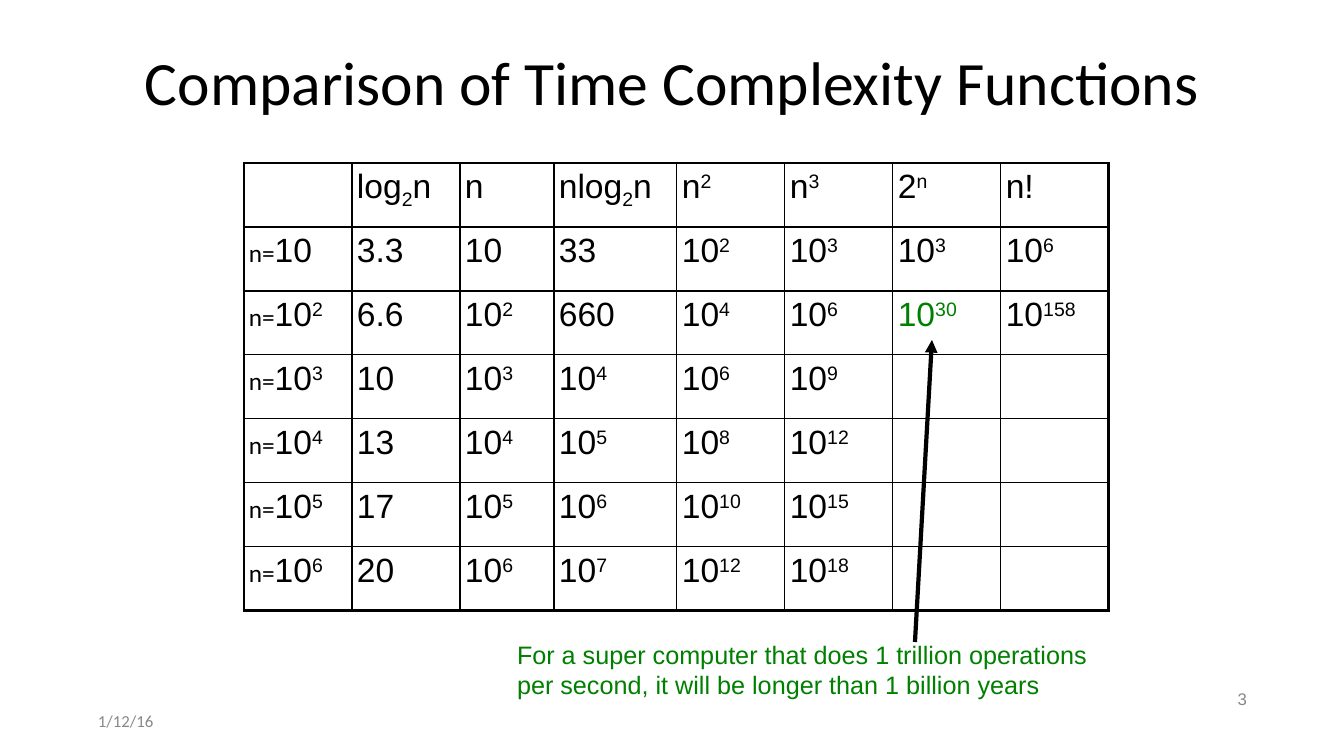
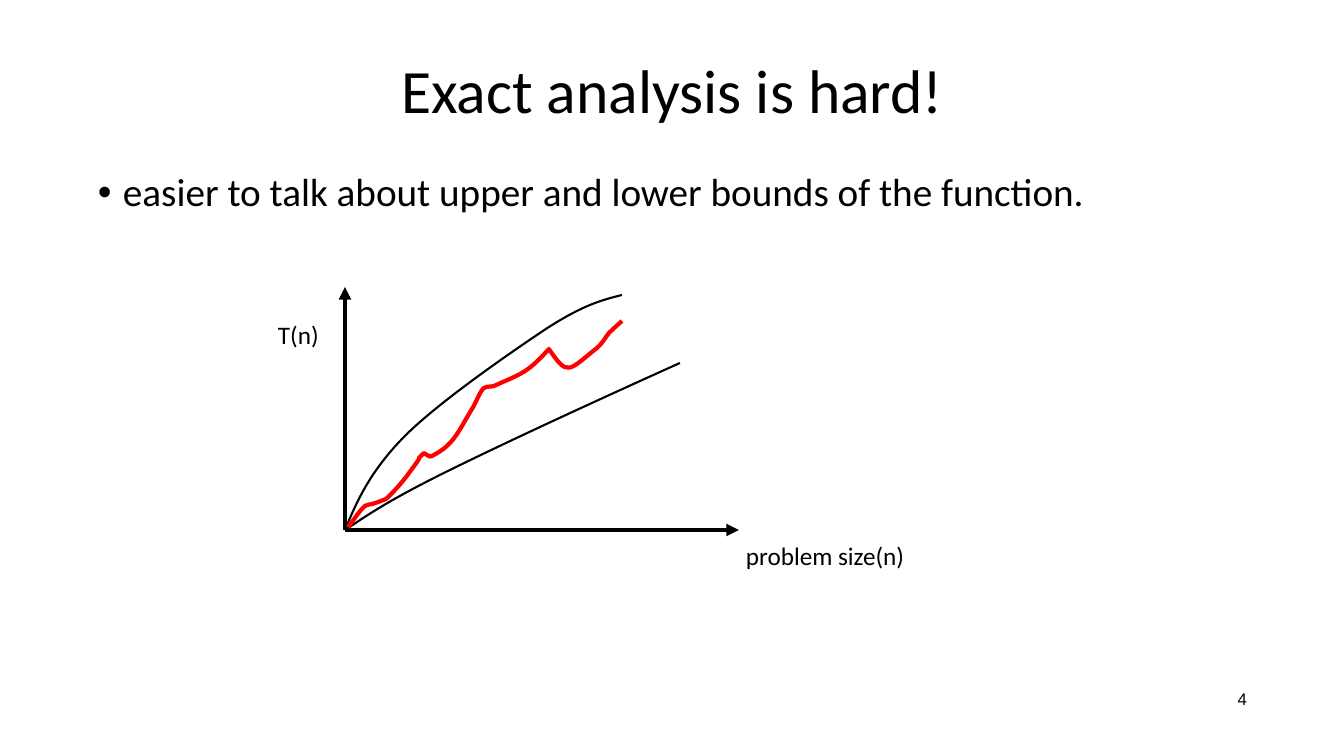
from itertools import product
from lxml import etree
from pptx import Presentation
from pptx import util as u
from pptx.dml.color import RGBColor
from pptx.enum import shapes, text
from pptx.oxml.ns import qn

BLACK, GREEN, GRAY, RED = "000000", "008000", "888888", "FF0000"
SANS, BODY = "Arial", "Calibri"
LEFT, CENTER, RIGHT = text.PP_ALIGN.LEFT, text.PP_ALIGN.CENTER, text.PP_ALIGN.RIGHT
TOP, MIDDLE = text.MSO_ANCHOR.TOP, text.MSO_ANCHOR.MIDDLE
BASELINES = {"^": "30000", "_": "-25000"}


def px(n):
    return u.Emu(round(n * 914400 / 100.8))


def rgb(color):
    return RGBColor.from_string(color)


def sub(parent, tag, **attrs):
    return etree.SubElement(parent, qn(tag), attrs)


class Deck:
    def __init__(self):
        self.prs = Presentation()
        self.prs.slide_width, self.prs.slide_height = px(1344), px(756)

    def slide(self, title, title_top, number, number_color):
        self.s = self.prs.slides.add_slide(self.prs.slide_layouts[6])
        self.text(title, 93, title_top, 1159, 108, size=44,
                  align=CENTER, anchor=MIDDLE, spacing=0.9)
        self.text(number, 950, 686, 302, 29, size=12, font=SANS,
                  color=number_color, align=RIGHT, anchor=MIDDLE, spacing=0.9)

    def style(self, p, size, font, color):
        p.font.size, p.font.name = u.Pt(size), font
        p.font.color.rgb = rgb(color)

    def text(self, words, x, y, w, h, size=18, font=BODY, color=BLACK, align=LEFT,
             anchor=TOP, spacing=None, before=None, bullet=False, wrap=True):
        tf = self.s.shapes.add_textbox(px(x), px(y), px(w), px(h)).text_frame
        tf.word_wrap, tf.vertical_anchor = wrap, anchor
        tf.margin_left = tf.margin_right = tf.margin_top = tf.margin_bottom = px(5)
        p = tf.paragraphs[0]
        p.text, p.alignment = words, align
        if bullet:
            pPr = p._p.get_or_add_pPr()
            pPr.set("marL", str(px(25)))
            pPr.set("indent", str(-px(25)))
            sub(pPr, "a:buFont", typeface=SANS)
            sub(pPr, "a:buChar", char="•")
        if spacing:
            p.line_spacing = spacing
        if before:
            p.space_before = u.Pt(before)
        self.style(p, size, font, color)

    def table(self, x, y, widths, row_height, rows, highlight):
        n_rows, n_cols = len(rows), len(widths)
        table = self.s.shapes.add_table(n_rows, n_cols, px(x), px(y), px(sum(widths)),
                                        px(row_height * n_rows)).table
        table.first_row = table.horz_banding = False
        for col, width in zip(table.columns, widths):
            col.width = px(width)
        for row in table.rows:
            row.height = px(row_height)
        for i, j in product(range(n_rows), range(n_cols)):
            cell = table.cell(i, j)
            cell.fill.background()
            cell.margin_left = cell.margin_right = px(5)
            cell.margin_top = cell.margin_bottom = px(5)
            self.borders(cell, L=j == 0, R=j == n_cols - 1, T=i == 0, B=i == n_rows - 1)
            if j < len(rows[i]) and rows[i][j]:
                color = GREEN if (i, j) == highlight else BLACK
                self.formula(cell.text_frame.paragraphs[0], rows[i][j], color)

    def borders(self, cell, **outer):
        tcPr = cell._tc.get_or_add_tcPr()
        for i, (side, is_outer) in enumerate(outer.items()):
            ln = sub(tcPr, "a:ln" + side, w=str(u.Pt(2.25 if is_outer else 1)))
            sub(sub(ln, "a:solidFill"), "a:srgbClr", val=BLACK)
            tcPr.insert(i, ln)

    def formula(self, p, parts, color):
        p.space_before = u.Pt(5)
        self.style(p, 24, SANS, color)
        for part in parts.split("|"):
            r = p.add_run()
            r.text = part.lstrip("^_")
            if part[0] in BASELINES:
                r._r.get_or_add_rPr().set("baseline", BASELINES[part[0]])
            if part == "n=":
                r.font.size, r.font.name = u.Pt(18), BODY

    def arrow(self, x1, y1, x2, y2):
        sp = self.s.shapes.add_connector(shapes.MSO_CONNECTOR.STRAIGHT,
                                         px(x1), px(y1), px(x2), px(y2))
        sp.line.color.rgb, sp.line.width = rgb(BLACK), u.Pt(3)
        spPr = sp._element.spPr
        sub(spPr.find(qn("a:ln")), "a:tailEnd", type="triangle")
        sub(spPr, "a:effectLst")

    def curve(self, points, color=BLACK, width=1.5):
        fb = self.s.shapes.build_freeform(*points[0], scale=px(100) / 100)
        fb.add_line_segments(points[1:], close=False)
        sp = fb.convert_to_shape()
        sp.shadow.inherit = False
        sp.fill.background()
        sp.line.color.rgb, sp.line.width = rgb(color), u.Pt(width)
        outline = next(sp._element.iter(qn("a:path")))
        steps = outline.findall(qn("a:lnTo"))
        for i in range(0, len(steps), 3):
            bezier = sub(outline, "a:cubicBezTo")
            for step in steps[i:i + 3]:
                bezier.append(step[0])
                outline.remove(step)


deck = Deck()

deck.slide("Comparison of Time Complexity Functions", 32, "3", GRAY)
header = ["", "log|_2|n", "n", "nlog|_2|n", "n|^2", "n|^3", "2|^n", "n!"]
growth = [
    ["n=|10", "3.3", "10", "33", "10|^2", "10|^3", "10|^3", "10|^6"],
    ["n=|10|^2", "6.6", "10|^2", "660", "10|^4", "10|^6", "10|^30", "10|^158"],
]
for k, log in zip(range(3, 7), ["10", "13", "17", "20"]):
    growth.append([f"n=|10|^{k}", log] + [f"10|^{e}" for e in (k, k + 1, 2 * k, 3 * k)])
deck.table(244, 163, [108, 108, 94, 123] + [108] * 4, 64, [header] + growth, (2, 6))
deck.text("For a super computer that does 1 trillion operations per second, "
          "it will be longer than 1 billion years",
          512, 634, 613, 69, font=SANS, color=GREEN, before=10)
deck.arrow(915, 642, 932, 340)
deck.text("1/12/16", 93, 706, 302, 29, size=12, color=GRAY, anchor=MIDDLE)

deck.slide("Exact analysis is hard!", 40, "4", BLACK)
deck.text("easier to talk about upper and lower bounds of the function.",
          93, 168, 1159, 513, size=28, spacing=0.9, before=10, bullet=True)
origin = (345, 530)
deck.arrow(*origin, 345, 287)
deck.arrow(*origin, 739, 530)
upper_bound = [origin, (357, 501), (370, 472), (403, 438), (436, 404), (510, 353),
               (546, 329), (583, 305), (602, 300), (622, 295)]
lower_bound = [origin, (365, 517), (384, 503), (440, 475), (496, 447), (589, 404),
               (680, 363)]
running_time = [
    (348, 527), (354, 520), (359, 511), (365, 506), (367, 504), (370, 505), (372, 504),
    (376, 503), (381, 501), (386, 499), (395, 491), (405, 479), (412, 469),
    (427, 449), (412, 465), (424, 453), (427, 454), (429, 458), (432, 456),
    (454, 445), (458, 432), (472, 409), (475, 405), (480, 391), (484, 388),
    (487, 386), (491, 387), (494, 386), (523, 373), (527, 373), (549, 349),
    (568, 377), (568, 371), (597, 348), (602, 344), (605, 338), (609, 333),
    (613, 329), (622, 321), (622, 321)]
deck.curve(upper_bound)
deck.curve(lower_bound)
deck.curve(running_time, RED, 3)
deck.text("problem size(n)", 741, 535, 170, 41, wrap=False)
deck.text("T(n)", 273, 314, 52, 41, wrap=False)

deck.prs.save("out.pptx")
